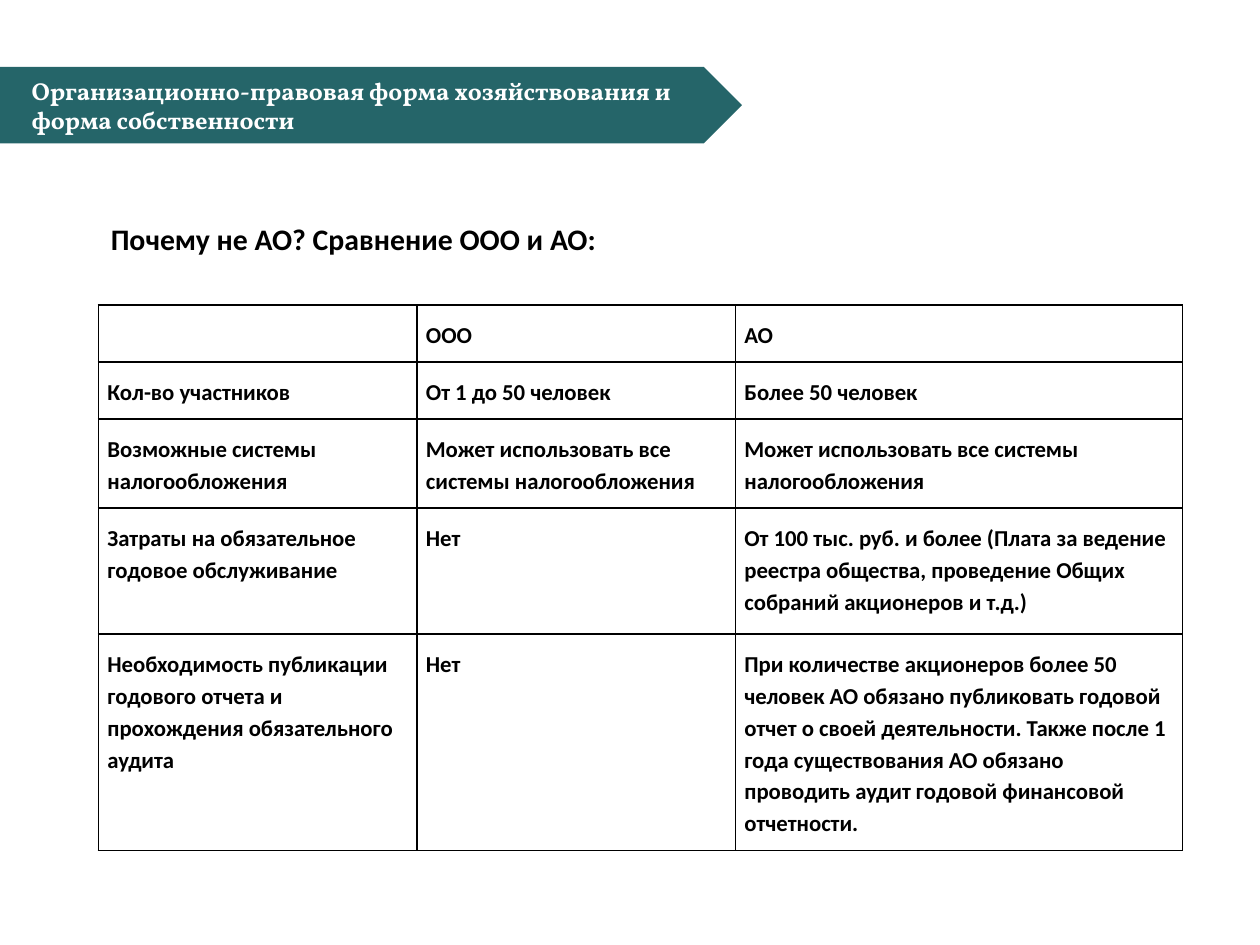
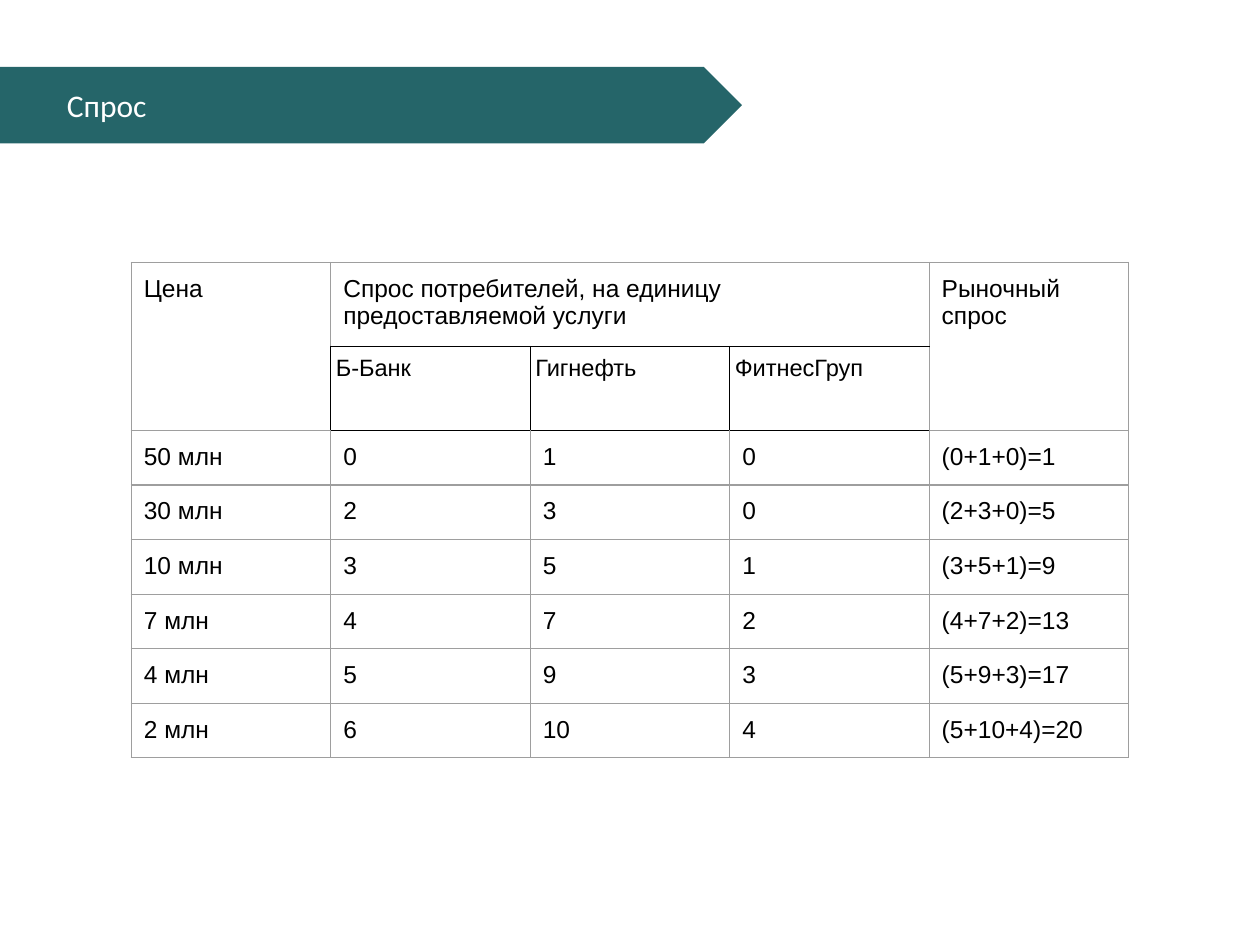
from lxml import etree
from pptx import Presentation
from pptx.dml.color import RGBColor
from pptx.enum.shapes import MSO_SHAPE as Shape
from pptx.enum.text import MSO_ANCHOR as Anchor, PP_ALIGN as Align
from pptx.oxml.ns import qn
from pptx.util import Pt

TEAL, WHITE, BLACK, GREY = "256569", "FFFFFF", "000000", "9E9E9E"
BAND_BOX = (0, 38.3, 424, 43.6)
TITLE_ONLY = 5

COMPARISON = [
    ["", "ООО", "АО"],
    ["Кол-во участников", "От 1 до 50 человек", "Более 50 человек"],
    ["Возможные системы налогообложения",
     "Может использовать все системы налогообложения",
     "Может использовать все системы налогообложения"],
    ["Затраты на обязательное годовое обслуживание", "Нет",
     "От 100 тыс. руб. и более (Плата за ведение реестра общества, "
     "проведение Общих собраний акционеров и т.д.)"],
    ["Необходимость публикации годового отчета и прохождения обязательного аудита",
     "Нет",
     "При количестве акционеров более 50 человек АО обязано публиковать годовой "
     "отчет о своей деятельности. Также после 1 года существования АО обязано "
     "проводить аудит годовой финансовой отчетности."],
]

DEMAND = [
    ["Цена", "Спрос потребителей, на единицу предоставляемой услуги", "", "",
     "Рыночный спрос"],
    ["", "Б-Банк", "Гигнефть", "ФитнесГруп", ""],
    ["50 млн", "0", "1", "0", "(0+1+0)=1"],
    ["30 млн", "2", "3", "0", "(2+3+0)=5"],
    ["10 млн", "3", "5", "1", "(3+5+1)=9"],
    ["7 млн", "4", "7", "2", "(4+7+2)=13"],
    ["4 млн", "5", "9", "3", "(5+9+3)=17"],
    ["2 млн", "6", "10", "4", "(5+10+4)=20"],
]


def rgb(value):
    return RGBColor.from_string(value)


def in_points(box):
    return [Pt(length) for length in box]


def style_text(holder, font, size, colour, bold=False, spacing=1.0):
    paragraph = holder.paragraphs[0]
    paragraph.alignment = Align.LEFT
    paragraph.line_spacing = spacing
    paragraph.font.name = font
    paragraph.font.size = Pt(size)
    paragraph.font.bold = bold
    paragraph.font.color.rgb = rgb(colour)
    return paragraph


def set_margins(holder, horizontal, vertical):
    holder.margin_left = holder.margin_right = Pt(horizontal)
    holder.margin_top = holder.margin_bottom = Pt(vertical)


def add_titled_slide(deck, text, box, font, size, bold=False):
    """Add a slide whose title lies on the teal arrow band."""
    slide = deck.slides.add_slide(deck.slide_layouts[TITLE_ONLY])
    title = slide.shapes.title
    band = slide.shapes.add_shape(Shape.PENTAGON, *in_points(BAND_BOX))
    band.shadow.inherit = False
    band.fill.solid()
    band.fill.fore_color.rgb = rgb(TEAL)
    band.line.fill.background()
    title.element.addprevious(band.element)

    title.left, title.top, title.width, title.height = in_points(box)
    title.text = text
    frame = title.text_frame
    frame.word_wrap = True
    frame.vertical_anchor = Anchor.TOP
    set_margins(frame, 7.2, 3.6)
    style_text(frame, font, size, WHITE, bold)
    return slide


def add_question(slide, text, box):
    frame = slide.shapes.add_textbox(*in_points(box)).text_frame
    frame.word_wrap = True
    frame.vertical_anchor = Anchor.MIDDLE
    set_margins(frame, 7.2, 7.2)
    frame.text = text
    paragraph = style_text(frame, "Calibri", 17, BLACK, True, 1.15)
    paragraph.space_before = paragraph.space_after = Pt(12)


def set_borders(cell, colours, width):
    """Draw the left, right, top and bottom edges in the given colours."""
    properties = cell._tc.get_or_add_tcPr()
    for index, (side, colour) in enumerate(zip("LRTB", colours)):
        edge = etree.Element(qn(f"a:ln{side}"), w=str(Pt(width)))
        fill = etree.SubElement(edge, qn("a:solidFill"))
        etree.SubElement(fill, qn("a:srgbClr"), val=colour)
        properties.insert(index, edge)


def add_grid(slide, rows, left, top, widths, heights, format_cell):
    """Add an unfilled table; format_cell(cell, row, column) styles each cell."""
    box = in_points((left, top, sum(widths), sum(heights)))
    table = slide.shapes.add_table(len(rows), len(widths), *box).table
    table.first_row = table.horz_banding = False
    for column, width in zip(table.columns, widths):
        column.width = Pt(width)
    for r, (texts, height) in enumerate(zip(rows, heights)):
        table.rows[r].height = Pt(height)
        for c, text in enumerate(texts):
            cell = table.cell(r, c)
            cell.text = text
            cell.fill.background()
            format_cell(cell, r, c)
    return table


def format_comparison(cell, row, column):
    set_margins(cell, 5.2, 7.2)
    style_text(cell.text_frame, "Calibri", 13, BLACK, True, 1.15)
    set_borders(cell, [BLACK] * 4, 1)


def format_demand(cell, row, column):
    consumer = column in (1, 2, 3)
    subheading = consumer and row == 1
    margin, size, spacing = (3, 13.5, 1.15) if subheading else (7.2, 14, 1.0)
    set_margins(cell, margin, margin)
    style_text(cell.text_frame, "Arial", size, BLACK, spacing=spacing)
    side = BLACK if subheading else GREY
    above = BLACK if consumer and row in (1, 2) else GREY
    below = BLACK if consumer and row in (0, 1) else GREY
    set_borders(cell, [side, side, above, below], 0.75)


def build_comparison_slide(deck):
    slide = add_titled_slide(
        deck, "Организационно-правовая форма хозяйствования и форма собственности",
        (10.8, 39.6, 386, 41), "Vollkorn", 14, True)
    add_grid(slide, COMPARISON, 56.2, 174.3, [182, 182, 255.6],
             [32.3, 32.3, 50.3, 72, 122.2], format_comparison)
    add_question(slide, "Почему не АО? Сравнение ООО и АО:", (56.2, 102.2, 459.4, 65.5))


def build_demand_slide(deck):
    slide = add_titled_slide(deck, "Спрос", (31, 45.4, 337, 29), "Calibri", 18)
    table = add_grid(slide, DEMAND, 75, 150, [114] * 5,
                     [48] * 2 + [31.2] * 6, format_demand)
    table.cell(0, 1).merge(table.cell(0, 3))
    for column in (0, 4):
        table.cell(0, column).merge(table.cell(1, column))


def main():
    deck = Presentation()
    deck.slide_width, deck.slide_height = Pt(720), Pt(540)
    build_comparison_slide(deck)
    build_demand_slide(deck)
    deck.save("out.pptx")


if __name__ == "__main__":
    main()
